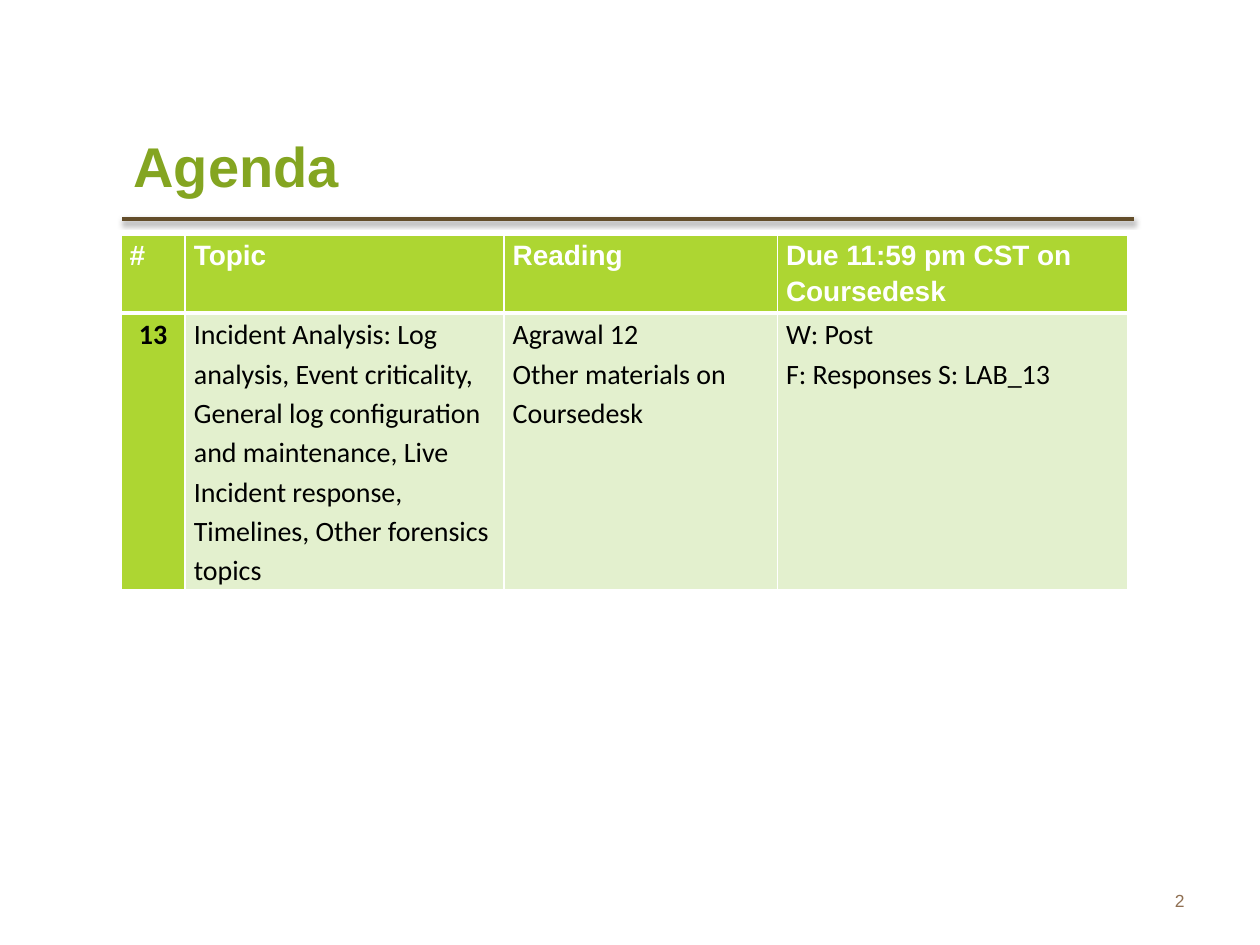
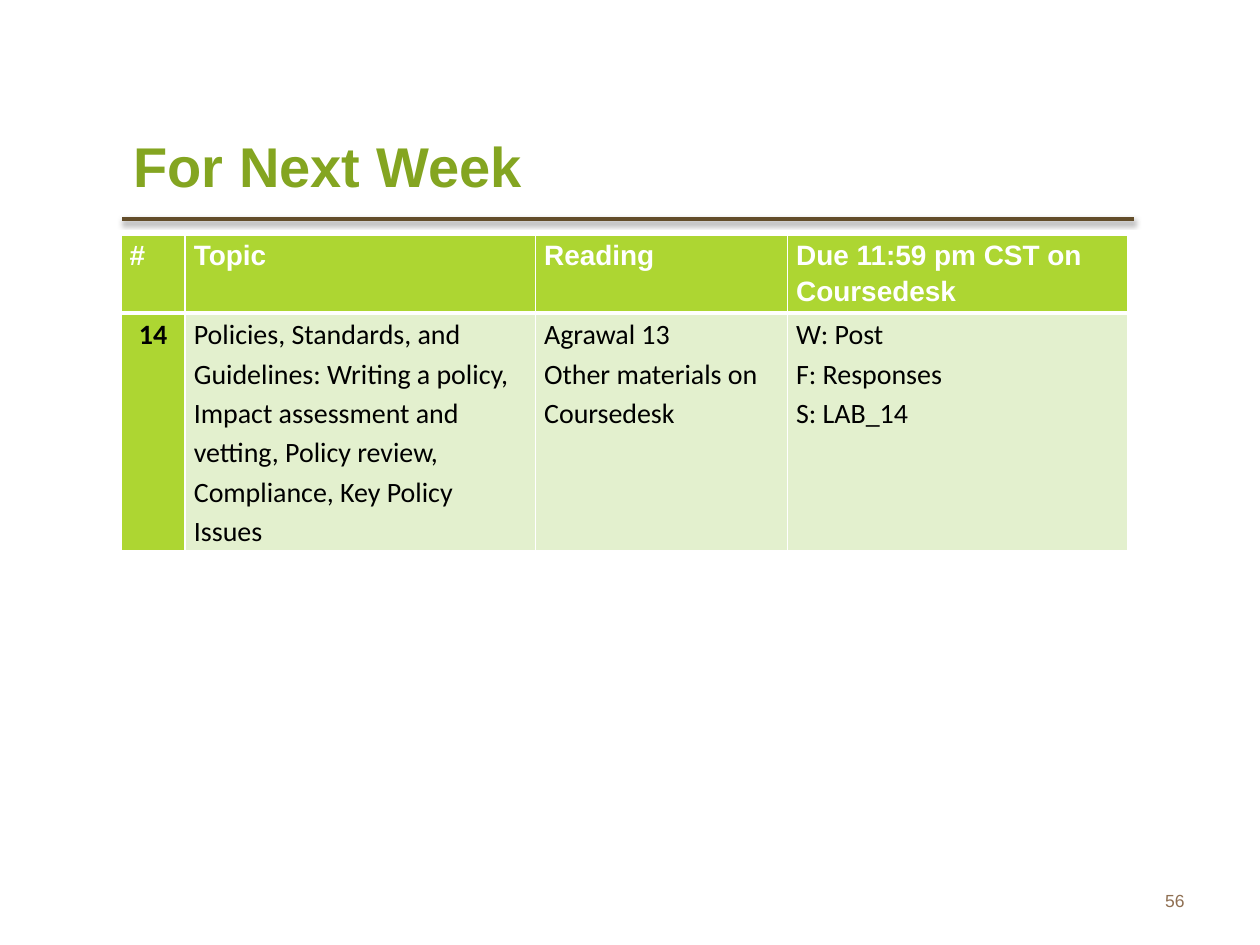
from dataclasses import dataclass

from lxml.etree import SubElement
from pptx import Presentation
from pptx.dml.color import RGBColor
from pptx.enum.shapes import MSO_CONNECTOR
from pptx.enum.text import MSO_ANCHOR, MSO_AUTO_SIZE, PP_ALIGN
from pptx.oxml import parse_xml
from pptx.oxml.ns import nsdecls, qn
from pptx.util import Pt


@dataclass(frozen=True)
class Theme:
    title: str = "84A521"
    rule: str = "634D2A"
    number: str = "8F6F52"
    accent: str = "ADD632"
    pale: str = "E3F0CE"
    white: str = "FFFFFF"
    black: str = "000000"
    heading_font: str = "Arial"
    body_font: str = "Calibri"
    title_size: float = 32
    table_size: float = 16
    number_size: float = 10
    line_spacing: float = 1.15
    thin: float = 1
    thick: float = 3


THEME = Theme()
TITLE_BOX = (69.12, 61.92, 415.44, 64.8)
RULE_BOX = (69.84, 125.28, 578.16, 0)
NUMBER_BOX = (516.24, 500.4, 167.76, 28.8)
TABLE_ORIGIN = (69.12, 134.64)
HEADER_HEIGHT = 40.5
HEADERS = ["#", "Topic", "Reading", "Due 11:59 pm CST on Coursedesk"]

WEEKS = [
    {
        "title": "Agenda",
        "number": "2",
        "widths": [36.72, 182.16, 156.24, 200.16],
        "height": 198.72,
        "row": [
            ["13"],
            ["Incident Analysis: Log analysis, Event criticality, General log "
             "configuration and maintenance, Live Incident response, "
             "Timelines, Other forensics topics"],
            ["Agrawal 12", "Other materials on Coursedesk"],
            ["W: Post", "F: Responses S: LAB_13"],
        ],
    },
    {
        "title": "For Next Week",
        "number": "56",
        "widths": [36.72, 200.16, 144, 194.4],
        "height": 176.4,
        "row": [
            ["14"],
            ["Policies, Standards, and Guidelines: Writing a policy,",
             "Impact assessment and vetting, Policy review, Compliance, "
             "Key Policy Issues"],
            ["Agrawal 13", "Other materials on Coursedesk"],
            ["W: Post", "F: Responses", "S: LAB_14"],
        ],
    },
]


def apply_format(target, values):
    for name, value in values.items():
        setattr(target, name, value)


def write(frame, lines, font, size, color, bold=False,
          align=PP_ALIGN.LEFT, spacing=None):
    for index, line in enumerate(lines):
        paragraph = frame.add_paragraph() if index else frame.paragraphs[0]
        apply_format(paragraph, {"alignment": align, "line_spacing": spacing})
        run = paragraph.add_run()
        run.text = line
        apply_format(run.font, {"name": font, "size": Pt(size), "bold": bold})
        run.font.color.rgb = RGBColor.from_string(color)


def add_title(slide, box, text):
    title = slide.shapes.title
    apply_format(title, dict(zip(("left", "top", "width", "height"), map(Pt, box))))
    apply_format(title.text_frame, {
        "vertical_anchor": MSO_ANCHOR.MIDDLE,
        "auto_size": MSO_AUTO_SIZE.NONE,
        "word_wrap": True,
    })
    write(title.text_frame, [text], THEME.heading_font, THEME.title_size,
          THEME.title, bold=True)


def add_rule(slide, box):
    left, top, width, height = box
    rule = slide.shapes.add_connector(
        MSO_CONNECTOR.STRAIGHT, Pt(left), Pt(top), Pt(left + width), Pt(top + height))
    rule.line.width = Pt(2)
    rule.line.color.rgb = RGBColor.from_string(THEME.rule)
    rule.element.spPr.append(parse_xml(
        f'<a:effectLst {nsdecls("a")}>'
        f'<a:outerShdw blurRad="{Pt(3.1)}" dist="{Pt(1.6)}" dir="5400000" rotWithShape="0">'
        f'<a:srgbClr val="{THEME.black}"><a:alpha val="38000"/></a:srgbClr>'
        '</a:outerShdw></a:effectLst>'))


def add_slide_number(slide, box, number):
    frame = slide.shapes.add_textbox(*map(Pt, box)).text_frame
    apply_format(frame, {"word_wrap": True, "vertical_anchor": MSO_ANCHOR.MIDDLE})
    write(frame, [number], THEME.heading_font, THEME.number_size, THEME.number,
          align=PP_ALIGN.RIGHT)


def set_borders(cell, widths):
    properties = cell._tc.get_or_add_tcPr()
    for side, width in zip(("lnL", "lnR", "lnT", "lnB"), widths):
        line = SubElement(properties, qn(f"a:{side}"), w=str(Pt(width)))
        fill = SubElement(line, qn("a:solidFill"))
        SubElement(fill, qn("a:srgbClr"), val=THEME.white)


def fill_cell(cell, lines, fill, borders, **style):
    apply_format(cell, {
        "margin_left": Pt(5), "margin_right": Pt(5),
        "margin_top": 0, "margin_bottom": 0,
        "vertical_anchor": MSO_ANCHOR.TOP,
    })
    set_borders(cell, borders)
    cell.fill.solid()
    cell.fill.fore_color.rgb = RGBColor.from_string(fill)
    write(cell.text_frame, lines, size=THEME.table_size,
          spacing=THEME.line_spacing, **style)


def add_schedule(slide, origin, widths, height, row):
    table = slide.shapes.add_table(
        2, len(widths), *map(Pt, (*origin, sum(widths), height))).table
    table.horz_banding = False
    for column, width in zip(table.columns, widths):
        column.width = Pt(width)
    for table_row, row_height in zip(table.rows, (HEADER_HEIGHT, height - HEADER_HEIGHT)):
        table_row.height = Pt(row_height)

    thin, thick = THEME.thin, THEME.thick
    for index, (header, lines) in enumerate(zip(HEADERS, row)):
        first = index == 0
        fill_cell(table.cell(0, index), [header], THEME.accent,
                  (thin, thin, thin, thick),
                  font=THEME.heading_font, color=THEME.white, bold=True)
        fill_cell(table.cell(1, index), lines,
                  THEME.accent if first else THEME.pale,
                  (thin, thin, thick, thin),
                  font=THEME.body_font, color=THEME.black, bold=first,
                  align=PP_ALIGN.CENTER if first else PP_ALIGN.LEFT)


def add_week_slide(presentation, week):
    slide = presentation.slides.add_slide(presentation.slide_layouts[5])
    add_rule(slide, RULE_BOX)
    add_slide_number(slide, NUMBER_BOX, week["number"])
    add_title(slide, TITLE_BOX, week["title"])
    add_schedule(slide, TABLE_ORIGIN, week["widths"], week["height"], week["row"])


def main():
    presentation = Presentation()
    apply_format(presentation, {"slide_width": Pt(720), "slide_height": Pt(540)})
    for week in WEEKS:
        add_week_slide(presentation, week)
    presentation.save("out.pptx")


if __name__ == "__main__":
    main()
